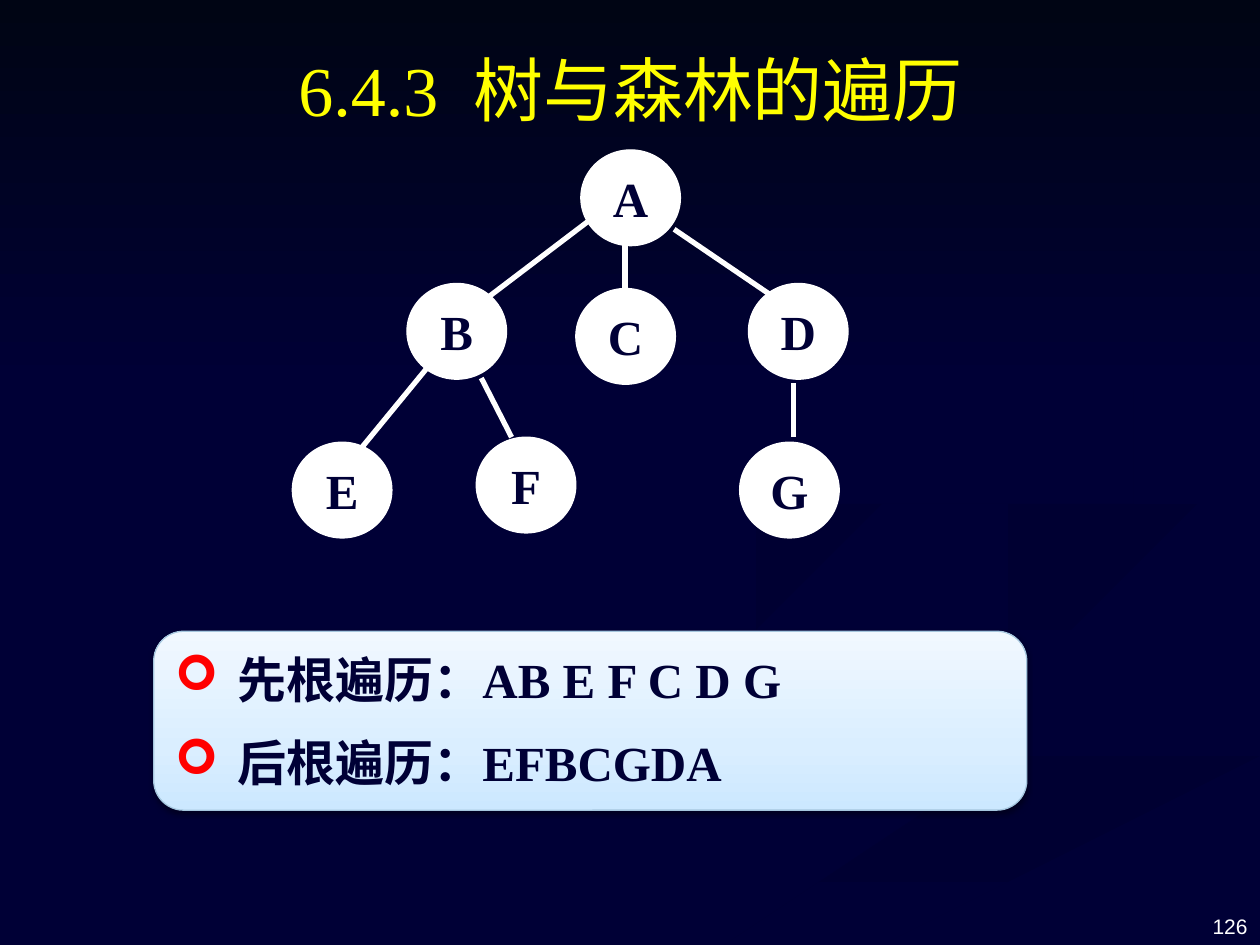
import copy

import pptx
import pptx.dml.color
import pptx.enum.shapes
import pptx.enum.text
import pptx.oxml
import pptx.oxml.ns
import pptx.util

COLS, ROWS = 10, 7.5
NAVY, DUSK, WHITE, YELLOW = "000036", "000032", "FFFFFF", "FFFF00"
SERIF = "Times New Roman"
NODE = (0.79, 0.76)
ALIGN = pptx.enum.text.PP_ALIGN
ANCHOR = pptx.enum.text.MSO_ANCHOR
SHAPE = pptx.enum.shapes.MSO_SHAPE

NODES = {"A": (2.29, 0), "B": (0.91, 1.06), "C": (2.25, 1.1), "D": (3.62, 1.06),
         "E": (0, 2.32), "F": (1.46, 2.28), "G": (3.55, 2.32)}
EDGES = [((2.37, 0.55), (1.54, 1.18)), ((2.64, 0.74), (2.64, 1.1)),
         ((3.03, 0.63), (3.78, 1.14)), ((1.07, 1.73), (0.52, 2.4)),
         ((1.5, 1.81), (1.74, 2.28)), ((3.98, 1.85), (3.98, 2.28))]
ORDERS = ["先根遍历：AB E F C D G", "后根遍历：EFBCGDA"]

RIBBONS = [
    ([(5, 7.5), (5.7, 7.5), (7.5, 6.7), (10, 6.1), (10, 5.8), (7.6, 6.5)], 90),
    ([(7.8, 4.6), (8.3, 5), (8, 4.7), (8.4, 4.5), (10, 4.2), (10, 4), (8.1, 4.4)], 45),
    ([(6.8, 4.3), (8.7, 3.8), (8.9, 3.3), (8.6, 3.7), (6, 4.3), (5.8, 4.7),
      (6.2, 5), (6, 4.6)], 45),
]


def rgb(value):
    """Turn a hex string into a colour."""
    return pptx.dml.color.RGBColor.from_string(value)


def grid(*cells):
    """Turn grid columns and rows into lengths."""
    return [pptx.util.Inches(cell) for cell in cells]


def set_all(obj, values):
    """Set each attribute of an object from a dict."""
    for name, value in values.items():
        setattr(obj, name, value)


def set_font(font, size, color, **values):
    """Format a font."""
    set_all(font, {"size": pptx.util.Pt(size), "name": SERIF, **values})
    font.color.rgb = rgb(color)


def set_gradient(sp, colors, angle, positions=(0, 1)):
    """Fill a shape with a linear gradient, its angle measured clockwise."""
    sp.fill.gradient()
    sp.fill.gradient_angle = -angle % 360
    stop_list = sp.element.spPr.find(".//" + pptx.oxml.ns.qn("a:gsLst"))
    for _ in colors[2:]:
        stop_list.append(copy.deepcopy(stop_list[-1]))
    for stop, color, position in zip(sp.fill.gradient_stops, colors, positions):
        stop.color.rgb = rgb(color)
        stop.position = position


def set_line(line, color, width):
    """Format an outline."""
    line.color.rgb = rgb(color)
    line.width = pptx.util.Pt(width)


def add_background(slide, box):
    """Draw the faint ribbons and the dark band at the top."""
    slide.background.fill.solid()
    slide.background.fill.fore_color.rgb = rgb(NAVY)
    parts = []
    for (start, *rest), angle in RIBBONS:
        builder = slide.shapes.build_freeform(*start, scale=pptx.util.Inches(1))
        builder.add_line_segments(rest)
        parts.append((builder.convert_to_shape(), DUSK, angle))
    parts.append((slide.shapes.add_shape(SHAPE.RECTANGLE, *grid(*box)), "000514", 90))
    for sp, color, angle in parts:
        sp.shadow.inherit = False
        sp.line.fill.background()
        set_gradient(sp, [color, NAVY], angle)


def add_title(slide, box):
    """Place the section number and heading in the title placeholder."""
    sp = slide.shapes.title
    set_all(sp, dict(zip(("left", "top", "width", "height"), grid(*box))))
    set_all(sp.text_frame, {"word_wrap": False, "vertical_anchor": ANCHOR.TOP})
    p = sp.text_frame.paragraphs[0]
    p.alignment = ALIGN.CENTER
    for text, spacing in (("6.4.3", 0), (" ", 1000), ("树与森林的遍历", 0)):
        r = p.add_run()
        r.text = text
        set_font(r.font, 40, YELLOW)
        r.font._element.set("spc", str(spacing))


def add_tree(slide, box):
    """Draw the tree's nodes and edges from the box's corner."""
    left, top = box
    for letter, (x, y) in NODES.items():
        sp = slide.shapes.add_shape(SHAPE.OVAL, *grid(left + x, top + y, *NODE))
        sp.shadow.inherit = False
        sp.fill.solid()
        sp.fill.fore_color.rgb = rgb(WHITE)
        set_line(sp.line, WHITE, 0.75)
        tf = sp.text_frame
        set_all(tf, {"margin_top": 0, "margin_bottom": 0, "vertical_anchor": ANCHOR.MIDDLE})
        p = tf.paragraphs[0]
        p.text, p.alignment = letter, ALIGN.CENTER
        set_font(p.runs[0].font, 28, NAVY, bold=True)
    for (x1, y1), (x2, y2) in EDGES:
        line = slide.shapes.add_connector(
            pptx.enum.shapes.MSO_CONNECTOR.STRAIGHT,
            *grid(left + x1, top + y1, left + x2, top + y2))
        set_line(line.line, WHITE, 3)
        line.element.spPr.append(pptx.oxml.parse_xml(
            f'<a:effectLst {pptx.oxml.ns.nsdecls("a")}/>'))


def add_orders(slide, box):
    """Draw the panel that lists the traversal orders."""
    ns = pptx.oxml.ns.nsdecls("a")
    sp = slide.shapes.add_shape(SHAPE.ROUNDED_RECTANGLE, *grid(*box))
    set_gradient(sp, ["CCE8FF", "DAEEFF", "F1F8FF"], 270, (0, 0.35, 1))
    set_line(sp.line, "A5C6DE", 0.75)
    sp.shadow.inherit = False
    sp.element.spPr.find(pptx.oxml.ns.qn("a:effectLst")).append(pptx.oxml.parse_xml(
        f'<a:outerShdw {ns} blurRad="39370" dist="20320" dir="5400000" rotWithShape="0">'
        '<a:srgbClr val="000000"><a:alpha val="38000"/></a:srgbClr></a:outerShdw>'))
    tf = sp.text_frame
    tf.vertical_anchor = ANCHOR.MIDDLE
    for i, text in enumerate(ORDERS):
        p = tf.add_paragraph() if i else tf.paragraphs[0]
        p.text, p.alignment = text, ALIGN.JUSTIFY
        pPr = p._p.get_or_add_pPr()
        pPr.set("marL", "457200")
        pPr.set("indent", "-457200")
        parts = ['<a:buClr {}><a:srgbClr val="FF0000"/></a:buClr>',
                 '<a:buFont {} typeface="Wingdings"/>', '<a:buChar {} char="➢"/>']
        if i:
            parts.insert(0, '<a:spcBef {}><a:spcPct val="50000"/></a:spcBef>')
        for part in parts:
            pPr.append(pptx.oxml.parse_xml(part.format(ns)))
        set_font(p.runs[0].font, 28, NAVY, bold=True)


def add_number(slide, box):
    """Place the slide number in the corner."""
    tf = slide.shapes.add_textbox(*grid(*box)).text_frame
    set_all(tf, {"word_wrap": True, "vertical_anchor": ANCHOR.BOTTOM})
    p = tf.paragraphs[0]
    p.text, p.alignment = "126", ALIGN.RIGHT
    set_font(p.runs[0].font, 12, WHITE, name="Arial")


def main():
    """Build and save the slide."""
    prs = pptx.Presentation()
    prs.slide_width, prs.slide_height = grid(COLS, ROWS)
    slide = prs.slides.add_slide(prs.slide_layouts[5])
    add_background(slide, (0, 0, COLS, 3.08))
    add_number(slide, (7.67, 6.98, 2.33, 0.52))
    add_tree(slide, (2.32, 1.19))
    add_title(slide, (2.17, 0.32, 5.67, 0.77))
    add_orders(slide, (1.22, 5.01, 6.93, 1.42))
    title = slide.shapes.title.element
    title.getparent().append(title)
    prs.save("out.pptx")


if __name__ == "__main__":
    main()
